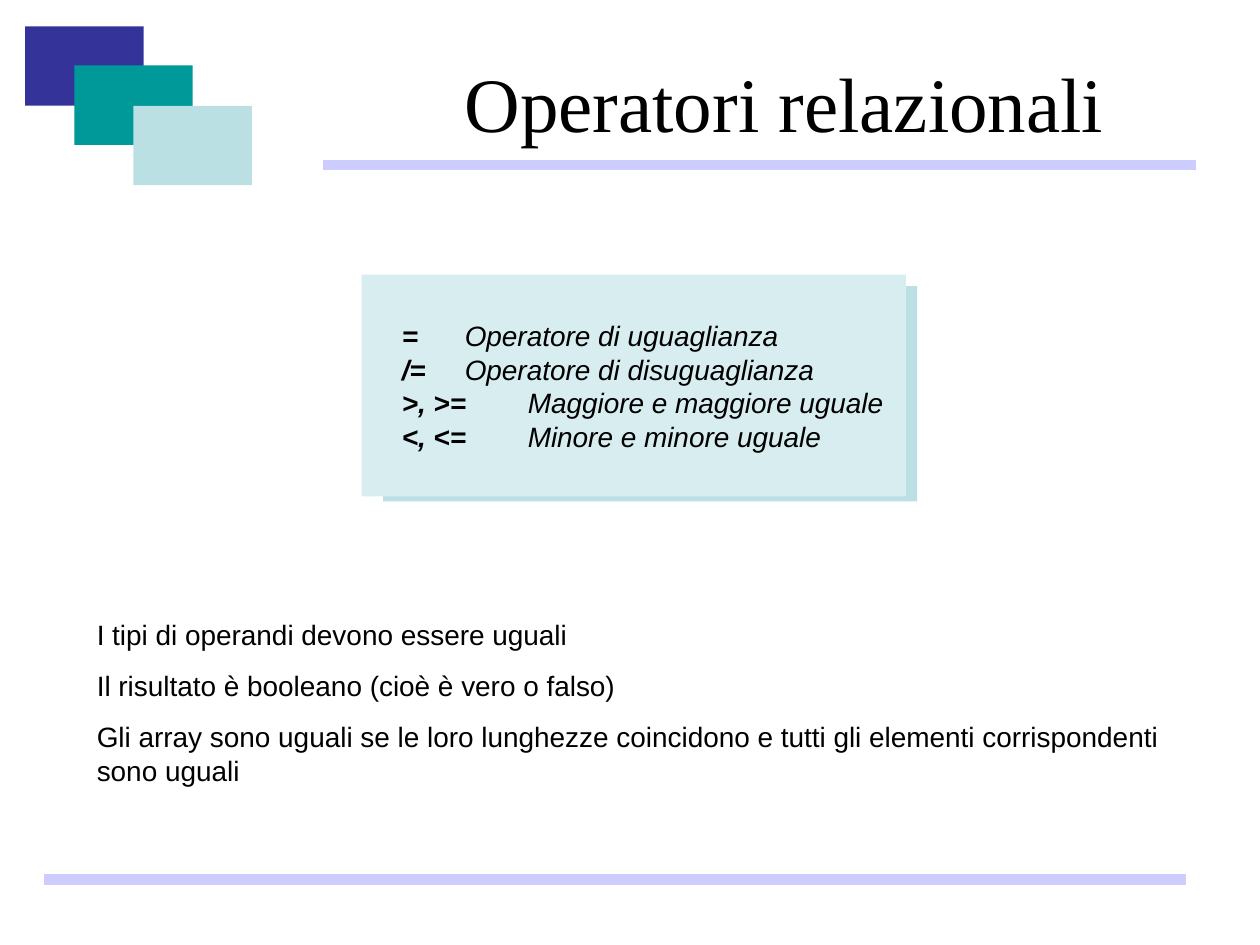
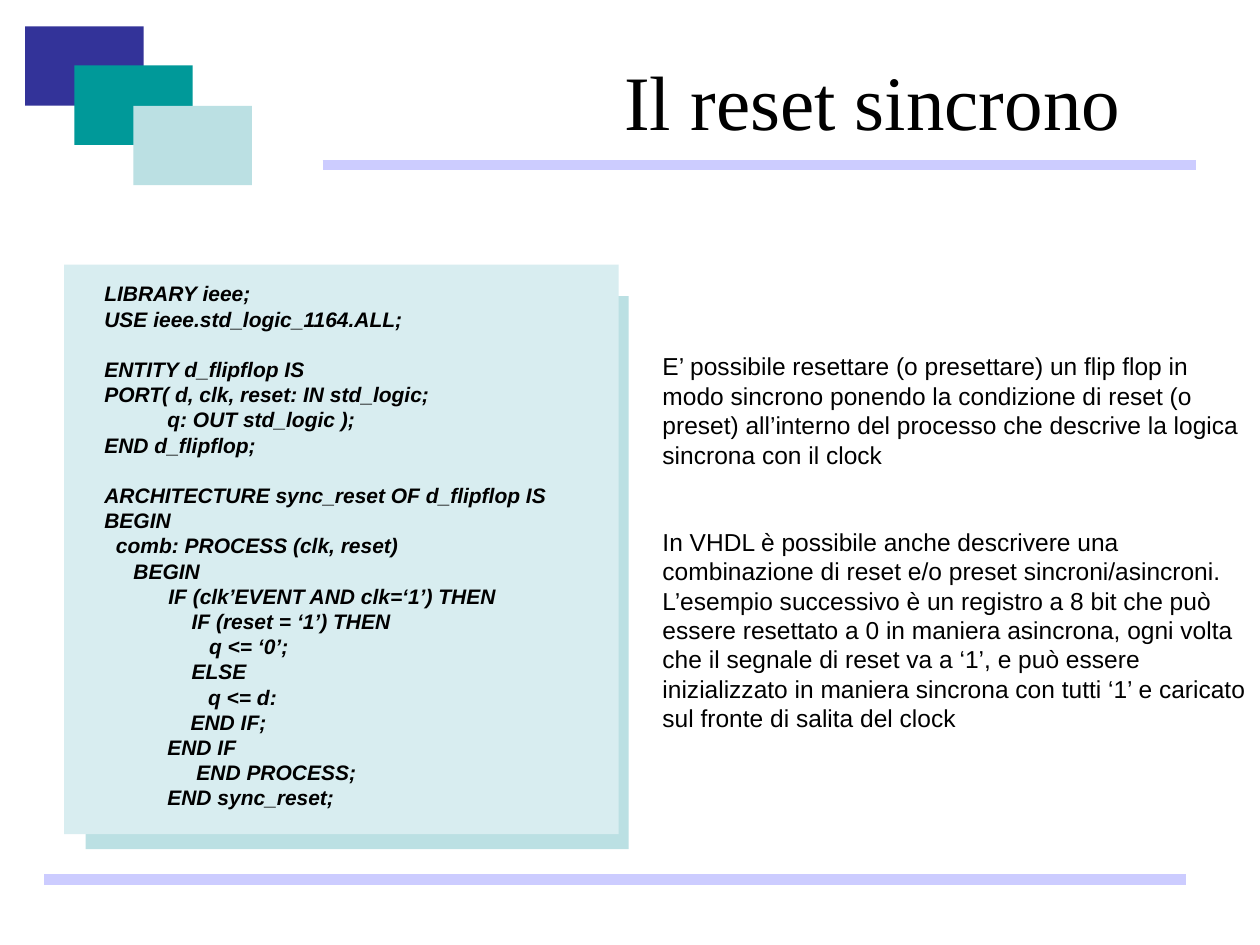
from lxml.etree import SubElement
from pptx import Presentation
from pptx.dml.color import RGBColor
from pptx.enum.shapes import MSO_CONNECTOR, MSO_SHAPE
from pptx.enum.text import MSO_ANCHOR, MSO_AUTO_SIZE, PP_ALIGN
from pptx.oxml.ns import qn
from pptx.util import Inches, Pt

# Grid: 100 columns by 75 rows of square cells
CELL = 0.1
COLUMNS, ROWS = 100, 75

BLACK, NAVY, TEAL = "000000", "333399", "009999"
AQUA, PALE_AQUA, LILAC = "BBE0E3", "D8EDF0", "CCCCFF"
TITLE_FONT, BODY_FONT = "Times New Roman", "Arial"


def grid(*cells):
    return [Inches(n * CELL) for n in cells]


def color(hex_string):
    return RGBColor.from_string(hex_string)


class Deck:
    def __init__(self):
        self.prs = Presentation()
        self.prs.slide_width, self.prs.slide_height = grid(COLUMNS, ROWS)
        self.s = None

    def slide(self, title, box):
        self.s = self.prs.slides.add_slide(self.prs.slide_layouts[5])
        self.title(title, box)
        self.decoration()

    def title(self, text, box):
        sp = self.s.shapes.title
        sp.left, sp.top, sp.width, sp.height = grid(*box)
        tf = sp.text_frame
        tf.text = text
        tf.word_wrap = True
        tf.auto_size = MSO_AUTO_SIZE.NONE
        tf.vertical_anchor = MSO_ANCHOR.MIDDLE
        p = tf.paragraphs[0]
        p.alignment = PP_ALIGN.CENTER
        self.font(p, 44, TITLE_FONT)

    def decoration(self):
        for x, y, fill in ((2, 2.1, NAVY), (5.9, 5.2, TEAL), (10.6, 8.4, AQUA)):
            self.rect(self.s.shapes, (x, y, 9.4, 6.3), fill)
        self.rule(25.6, 94.9, 13.1)
        self.rule(3.5, 94.1, 69.8)

    def rule(self, x1, x2, y):
        sp = self.s.shapes.add_connector(MSO_CONNECTOR.STRAIGHT, *grid(x1, y, x2, y))
        sp.line.color.rgb = color(LILAC)
        sp.line.width = Pt(6)
        SubElement(sp._element.spPr, qn("a:effectLst"))

    def rect(self, shapes, box, fill):
        sp = shapes.add_shape(MSO_SHAPE.RECTANGLE, *grid(*box))
        sp.shadow.inherit = False
        sp.fill.solid()
        sp.fill.fore_color.rgb = color(fill)
        sp.line.fill.background()

    def font(self, p, size, name=BODY_FONT, bold=None, italic=None):
        f = p.font
        f.name, f.size, f.bold, f.italic = name, Pt(size), bold, italic
        f.color.rgb = color(BLACK)

    def paragraphs(self, shapes, box, count):
        tf = shapes.add_textbox(*grid(*box)).text_frame
        tf.word_wrap = True
        for _ in range(count - 1):
            tf.add_paragraph()
        return tf.paragraphs

    def body(self, texts, box, size, gap):
        for i, p in enumerate(self.paragraphs(self.s.shapes, box, len(texts))):
            p.text = texts[i]
            if i:
                p.space_before = Pt(gap)
            self.font(p, size)

    def panel(self, back, front):
        shapes = self.s.shapes.add_group_shape().shapes
        self.rect(shapes, back, AQUA)
        self.rect(shapes, front, PALE_AQUA)
        return shapes

    def definitions(self, shapes, rows, box, size):
        for p, (term, meaning) in zip(self.paragraphs(shapes, box, len(rows)), rows):
            self.font(p, size, italic=True)
            for text, bold in ((term + "\t", True), (meaning, False)):
                r = p.add_run()
                r.text, r.font.bold = text, bold

    def code(self, shapes, sections, box, size, indented):
        """Sections are set one line apart; the last `indented` lines move in."""
        lines = [(line, i > 0 and j == 0)
                 for i, section in enumerate(sections)
                 for j, line in enumerate(section.strip("\n").split("\n"))]
        for i, p in enumerate(self.paragraphs(shapes, box, len(lines))):
            p.text, starts_section = lines[i]
            if starts_section:
                p.space_before = Pt(size * 1.2)
            if i >= len(lines) - indented:
                p._p.get_or_add_pPr().set("marL", str(Inches(0.5)))
            self.font(p, size, bold=True, italic=True)


OPERATORS = [
    ("=", "Operatore di uguaglianza"),
    ("/=", "Operatore di disuguaglianza"),
    (">, >=", "Maggiore e maggiore uguale"),
    ("<, <=", "Minore e minore uguale"),
]

OPERAND_RULES = [
    "I tipi di operandi devono essere uguali",
    "Il risultato è booleano (cioè è vero o falso)",
    "Gli array sono uguali se le loro lunghezze coincidono e tutti gli elementi "
    "corrispondenti sono uguali",
]

RESET_NOTES = [
    "E’ possibile resettare (o presettare) un flip flop in modo sincrono ponendo la "
    "condizione di reset (o preset) all’interno del processo che descrive la logica "
    "sincrona con il clock",
    "In VHDL è possibile anche descrivere una combinazione di reset e/o preset "
    "sincroni/asincroni. L’esempio successivo è un registro a 8 bit che può essere "
    "resettato a 0 in maniera asincrona, ogni volta che il segnale di reset va a ‘1’, "
    "e può essere inizializzato in maniera sincrona con tutti ‘1’ e caricato sul "
    "fronte di salita del clock",
]

FLIPFLOP_CODE = [
    """
LIBRARY ieee;
USE ieee.std_logic_1164.ALL;
""",
    """
ENTITY d_flipflop IS
PORT( d, clk, reset: IN std_logic;
\tq: OUT std_logic );
END d_flipflop;
""",
    """
ARCHITECTURE sync_reset OF d_flipflop IS
BEGIN
  comb: PROCESS (clk, reset)
     BEGIN
           IF (clk’EVENT AND clk=‘1’) THEN
               IF (reset = ‘1’) THEN
                  q <= ‘0’;
               ELSE
       q <= d:
    END IF;
END IF
     END PROCESS;
END sync_reset;
""",
]


def main():
    deck = Deck()

    # Relational operators
    deck.slide("Operatori relazionali", (29.5, 3, 65.5, 10.1))
    deck.body(OPERAND_RULES, (6.7, 48.5, 89, 14.5), size=16, gap=10)
    shapes = deck.panel((30.4, 22.7, 42.4, 17.1), (28.7, 21.8, 43.2, 17.6))
    deck.definitions(shapes, OPERATORS, (30.9, 24.8, 40.5, 11.7), size=16)

    # Synchronous reset
    deck.slide("Il reset sincrono", (43.6, 3.6, 51.3, 8.7))
    deck.body(RESET_NOTES, (51.6, 27.4, 48.4, 34.6), size=14, gap=33)
    shapes = deck.panel((6.8, 23.5, 43.1, 43.9), (5.1, 21, 44, 45.2))
    deck.code(shapes, FLIPFLOP_CODE, (7.3, 21.8, 41.2, 43), size=12, indented=5)

    deck.prs.save("out.pptx")


if __name__ == "__main__":
    main()
